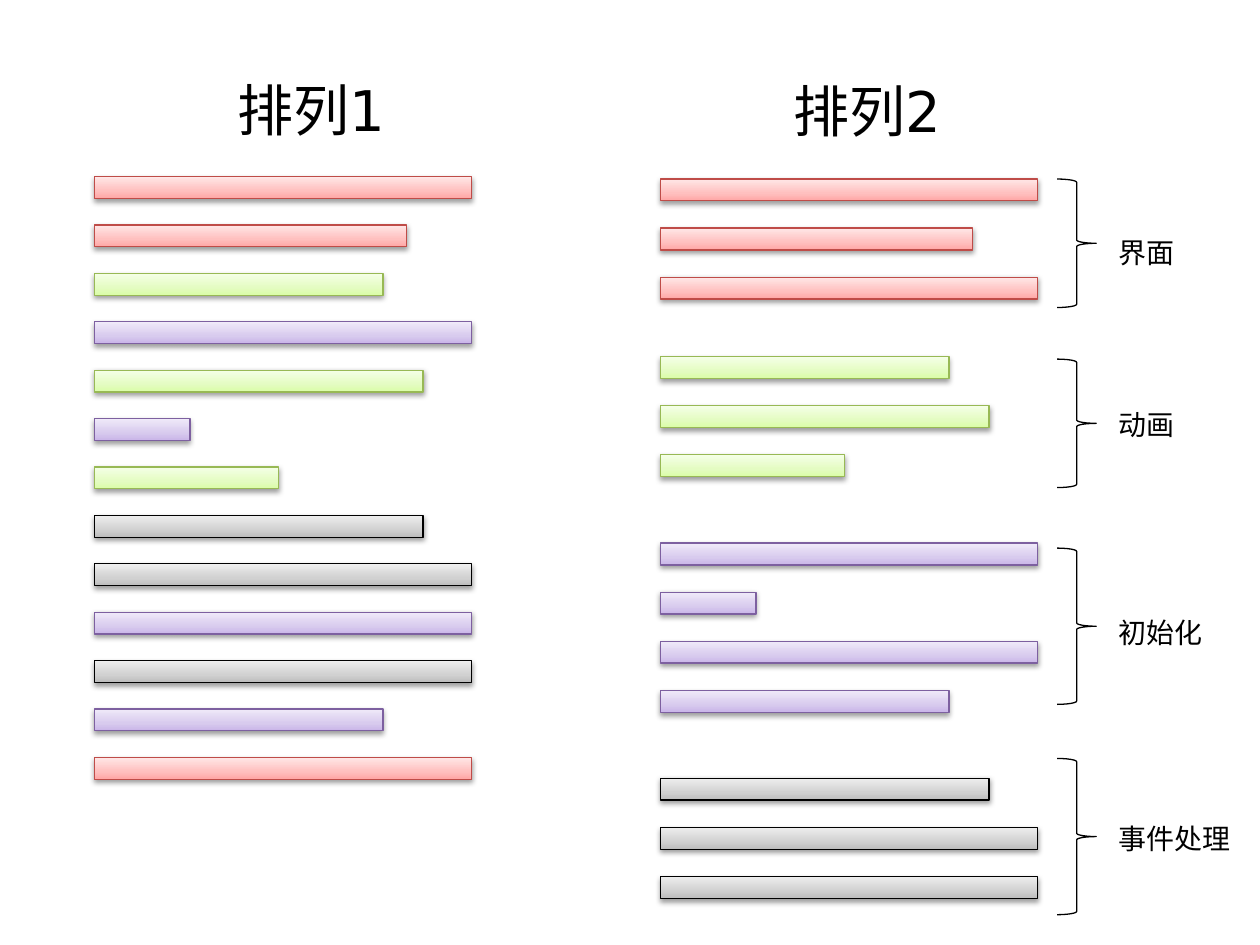
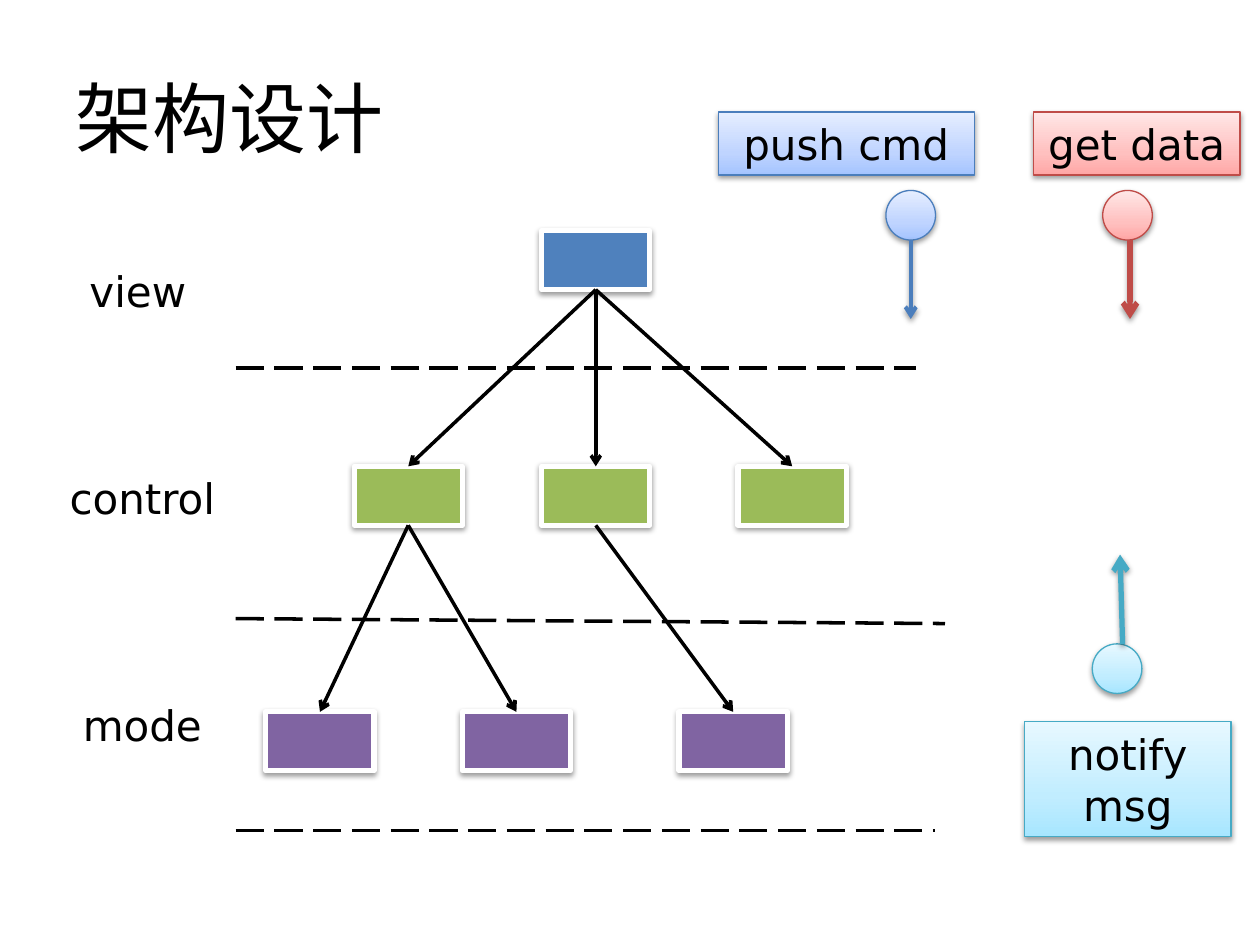
from copy import deepcopy
from dataclasses import dataclass

from lxml.etree import SubElement
from pptx import Presentation
from pptx.dml.color import RGBColor
from pptx.enum.dml import MSO_LINE
from pptx.enum.shapes import MSO_CONNECTOR, MSO_SHAPE
from pptx.enum.text import MSO_ANCHOR, PP_ALIGN
from pptx.oxml.ns import qn
from pptx.util import Cm, Pt


@dataclass(frozen=True)
class Hue:
    line: str
    stops: tuple  # from the bottom edge to the top edge


@dataclass(frozen=True)
class Theme:
    font: str = "DejaVu Sans"
    ink: str = "000000"
    paper: str = "FFFFFF"
    title: int = 44
    head: int = 32
    body: int = 24
    note: int = 16
    thin: float = 0.75
    bold: float = 2
    frame: float = 3
    view: str = "4F81BD"
    control: str = "9BBB59"
    mode: str = "8064A2"
    red: Hue = Hue("BF4C48", ("FFA6A5", "FFC0BF", "FFE7E7"))
    green: Hue = Hue("98B955", ("DAFDA7", "E4FCC2", "F5FFE7"))
    purple: Hue = Hue("7D60A0", ("C9B5E8", "D8CBEE", "F0EAF9"))
    grey: Hue = Hue("000000", ("BDBDBD", "D1D1D1", "EEEEEE"))
    blue: Hue = Hue("4B7EBC", ("A4C4FF", "BFD4FF", "E6EEFF"))
    cyan: Hue = Hue("46AAC5", ("A7E6FF", "C1EDFF", "E7F8FF"))


class Deck:
    """Holds the theme and the current slide, and draws on it."""

    def __init__(self, theme):
        self.theme = theme
        self.file = Presentation()
        self.file.slide_width, self.file.slide_height = Cm(25.4), Cm(19.05)

    def start(self, layout):
        self.slide = self.file.slides.add_slide(self.file.slide_layouts[layout])

    def effect(self, shape, shade):
        """Set the soft drop shadow, or none at all."""
        props = shape._element.spPr
        effects = SubElement(props, qn("a:effectLst"))
        if shade:
            drop = SubElement(effects, qn("a:outerShdw"), blurRad=str(Pt(3.1)),
                              dist=str(Pt(1.6)), dir="5400000", rotWithShape="0")
            color = SubElement(drop, qn("a:srgbClr"), val=self.theme.ink)
            SubElement(color, qn("a:alpha"), val="38000")

    def letter(self, shape, text, size, align=PP_ALIGN.CENTER):
        """Fill a shape with one paragraph of text."""
        frame = shape.text_frame
        frame.word_wrap = True
        para = frame.paragraphs[0]
        para.text, para.alignment = text, align
        para.font.name, para.font.size = self.theme.font, Pt(size)
        para.font.color.rgb = RGBColor.from_string(self.theme.ink)

    def title(self, text, box):
        shape = self.slide.shapes.title
        shape.left, shape.top, shape.width, shape.height = map(Cm, box)
        self.letter(shape, text, self.theme.title, PP_ALIGN.LEFT)
        shape.text_frame.vertical_anchor = MSO_ANCHOR.MIDDLE

    def label(self, text, box, size, align=PP_ALIGN.CENTER):
        shape = self.slide.shapes.add_textbox(*map(Cm, box))
        self.letter(shape, text, size, align)

    def shape(self, kind, box, line, width):
        shape = self.slide.shapes.add_shape(kind, *map(Cm, box))
        shape.line.color.rgb = RGBColor.from_string(line)
        shape.line.width = Pt(width)
        return shape

    def glow(self, box, hue, kind=MSO_SHAPE.RECTANGLE):
        """Draw a shape with a three-stop gradient and a shadow."""
        shape = self.shape(kind, box, hue.line, self.theme.thin)
        fill = shape.fill
        fill.gradient()
        fill.gradient_angle = 90
        stops = shape._element.spPr.find(".//" + qn("a:gsLst"))
        stops.insert(1, deepcopy(stops[0]))
        for stop, place, color in zip(fill.gradient_stops, (0, 0.35, 1), hue.stops):
            stop.position = place
            stop.color.rgb = RGBColor.from_string(color)
        self.effect(shape, True)
        return shape

    def tag(self, text, box, hue):
        self.letter(self.glow(box, hue), text, self.theme.body)

    def block(self, box, color):
        shape = self.shape(MSO_SHAPE.RECTANGLE, box, self.theme.paper, self.theme.frame)
        shape.fill.solid()
        shape.fill.fore_color.rgb = RGBColor.from_string(color)
        self.effect(shape, True)

    def brace(self, box):
        shape = self.shape(MSO_SHAPE.RIGHT_BRACE, box, self.theme.ink, self.theme.thin)
        shape.fill.background()
        self.effect(shape, False)

    def line(self, start, end, color, width, arrow=False, shade=False):
        line = self.slide.shapes.add_connector(
            MSO_CONNECTOR.STRAIGHT, *map(Cm, start + end))
        line.line.color.rgb = RGBColor.from_string(color)
        line.line.width = Pt(width)
        if arrow:
            stroke = line._element.spPr.find(qn("a:ln"))
            SubElement(stroke, qn("a:tailEnd"), type="arrow")
        else:
            line.line.dash_style = MSO_LINE.LONG_DASH
        self.effect(line, shade)


def order(deck):
    """Bars in mixed order on the left, sorted by colour on the right."""
    theme = deck.theme
    red, green, purple, grey = theme.red, theme.green, theme.purple, theme.grey
    full, thick = 7.6, 0.44
    bars = [(red, full), (red, 6.3), (green, 5.82), (purple, full), (green, 6.63),
            (purple, 1.93), (green, 3.71), (grey, 6.63), (grey, full),
            (purple, full), (grey, full), (purple, 5.82), (red, full)]
    groups = [  # hue, name, first bar, brace top, brace height, name top, name width
        (red, "界面", 3.61, 3.61, 2.59, 4.62, 2.01),
        (green, "动画", 7.19, 7.24, 2.59, 8.1, 2.01),
        (purple, "初始化", 10.95, 11.05, 3.15, 12.29, 2.39),
        (grey, "事件处理", 15.69, 15.29, 3.15, 16.43, 2.79)]

    deck.start(6)
    deck.label("排列1", (4.29, 1.4, 3.99, 1.63), theme.head)
    deck.label("排列2", (15.49, 1.42, 3.99, 1.63), theme.head)
    step = 11.71 / (len(bars) - 1)
    for row, (hue, width) in enumerate(bars):
        deck.glow((1.9, 3.56 + row * step, width, thick), hue)
    for hue, name, top, edge, tall, base, wide in groups:
        widths = [width for kind, width in bars if kind == hue]
        for row, width in enumerate(widths):
            deck.glow((13.31, top + row * 0.99, width, thick), hue)
        deck.brace((21.31, edge, 0.79, tall))
        deck.label(name, (22.3, base, wide, 0.94), theme.note, PP_ALIGN.LEFT)


def layers(deck):
    """A tree of blocks in three layers, with a key of messages."""
    theme = deck.theme
    wide, tall = 2.18, 1.19
    tiers = [(4.65, theme.view, (10.92,)),
             (9.4, theme.control, (7.14, 10.92, 14.88)),
             (14.35, theme.mode, (5.36, 9.32, 13.69))]
    links = [  # upper tier, parent, child
        (0, 0, 0), (0, 0, 1), (0, 0, 2), (1, 0, 0), (1, 0, 1), (1, 1, 2)]
    names = [("view", (1.19, 5.23, 3.18, 1.27)),
             ("control", (0.99, 9.4, 3.76, 1.27)),
             ("mode", (0.99, 13.97, 3.76, 1.27))]
    rules = [(7.42, (18.47, 7.42)), (12.47, (19.05, 12.57)), (16.74, (18.85, 16.74))]
    keys = [  # text, tag box, hue, ball corner, arrow start, arrow end, weight
        ("push cmd", (14.48, 2.26, 5.16, 1.27), theme.blue,
         (17.86, 3.84), (18.36, 4.83), (18.36, 6.43), 2.25),
        ("get data", (20.83, 2.26, 4.17, 1.27), theme.red,
         (22.23, 3.84), (22.78, 4.83), (22.78, 6.43), 3),
        ("notify msg", (20.65, 14.55, 4.17, 2.31), theme.cyan,
         (22.02, 12.98), (22.63, 12.98), (22.58, 11.18), 3)]

    deck.start(5)
    deck.title("架构设计", (1.27, 0.76, 22.86, 3.18))
    for top, end in rules:
        deck.line((4.75, top), end, theme.ink, theme.bold)
    for top, color, lefts in tiers:
        for left in lefts:
            deck.block((left, top, wide, tall), color)
    for tier, parent, child in links:
        (top, _, uppers), (base, _, lowers) = tiers[tier:tier + 2]
        deck.line((uppers[parent] + wide / 2, top + tall),
                  (lowers[child] + wide / 2, base), theme.ink, theme.bold, arrow=True)
    for text, box in names:
        deck.label(text, box, theme.body)
    for text, box, hue, ball, start, end, weight in keys:
        deck.glow(ball + (1, 1), hue, MSO_SHAPE.OVAL)
        deck.line(start, end, hue.line, weight, arrow=True, shade=True)
        deck.tag(text, box, hue)


def main():
    deck = Deck(Theme())
    order(deck)
    layers(deck)
    deck.file.save("out.pptx")


if __name__ == "__main__":
    main()
